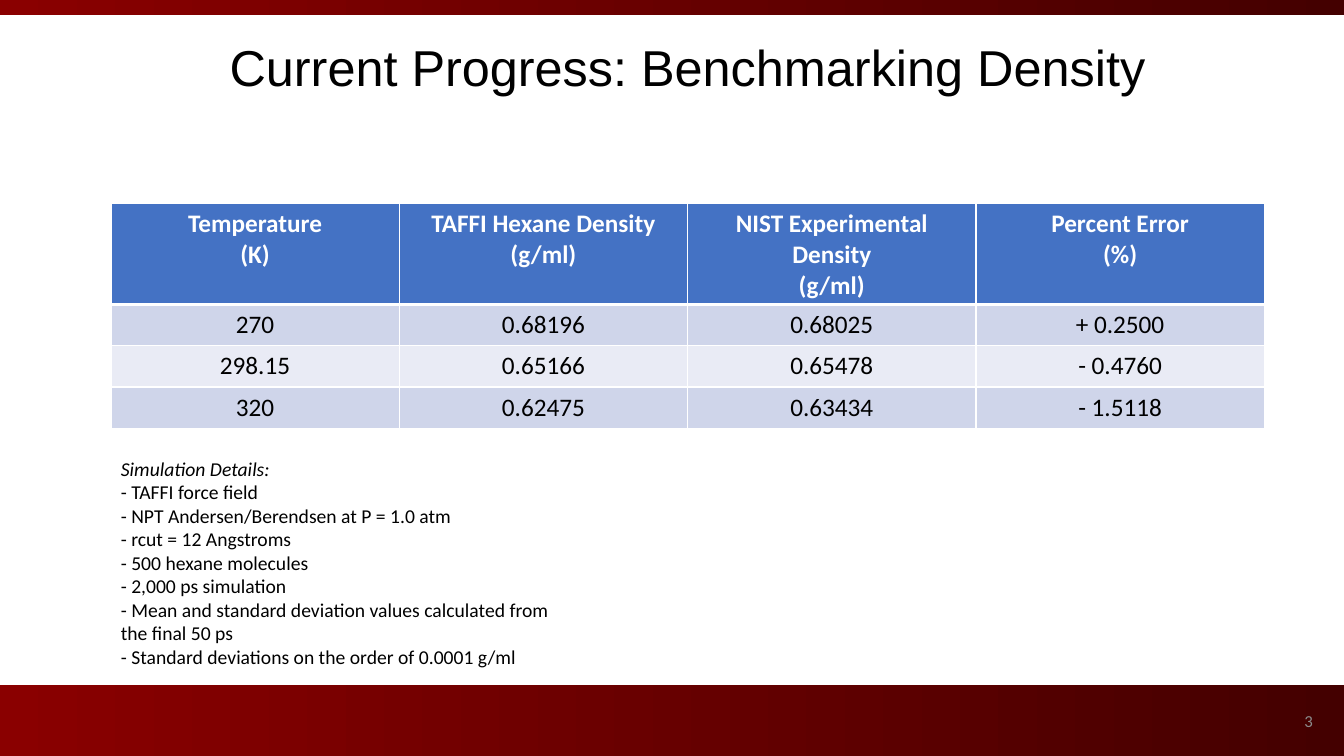
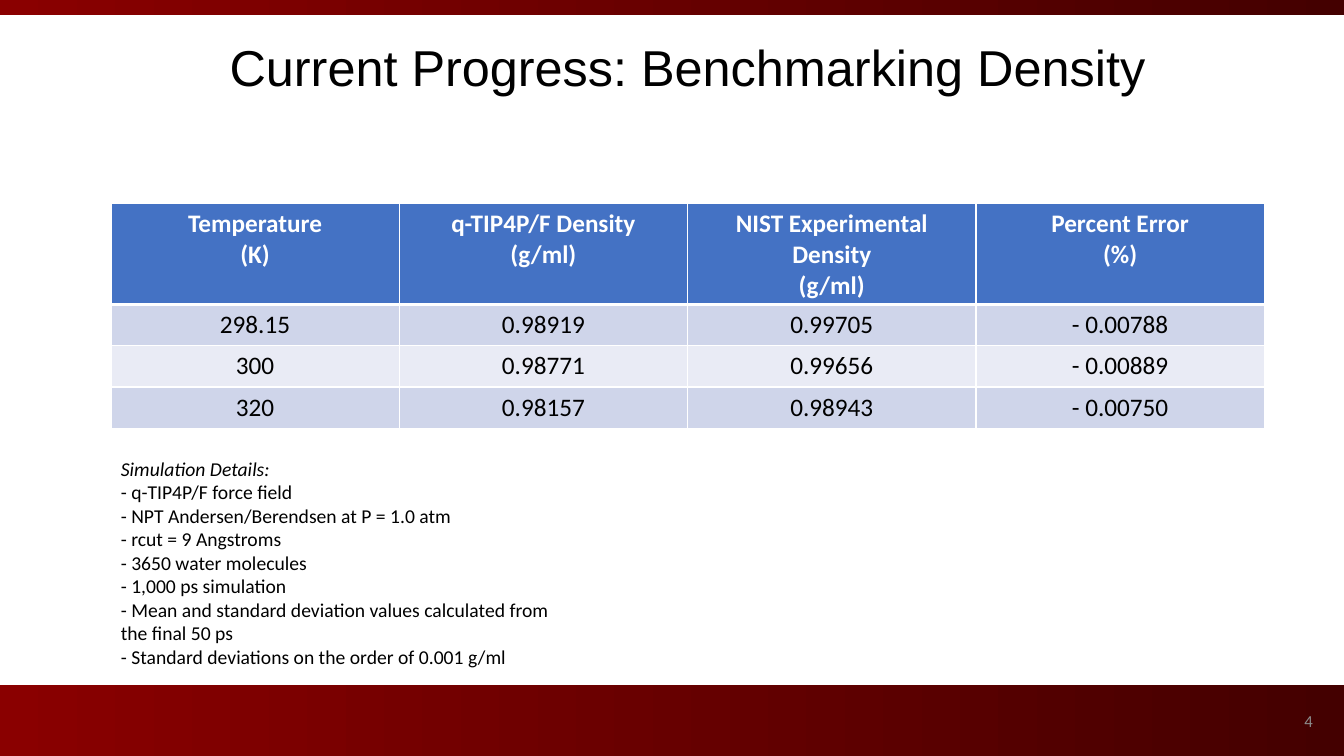
import pptx
import pptx.dml.color
import pptx.enum.shapes
import pptx.enum.text
import pptx.oxml
import pptx.oxml.ns
import pptx.util

Inches = pptx.util.Inches
Pt = pptx.util.Pt
ALIGN = pptx.enum.text.PP_ALIGN
ANCHOR = pptx.enum.text.MSO_ANCHOR
AUTO_SIZE = pptx.enum.text.MSO_AUTO_SIZE


def rgb(value):
    return pptx.dml.color.RGBColor.from_string(value)


class Deck:
    WIDTH, HEIGHT = 13.33, 7.5
    HEADING, BODY = "Arial", "Calibri"
    DARK, LIGHT, MUTED = "000000", "FFFFFF", "8C8C8C"
    BAND = ("8A0000", "440000")
    HEADER = "4472C4"
    STRIPES = ("CFD5EA", "E9EBF5")
    MARGIN = 1.1

    def __init__(self):
        self.prs = pptx.Presentation()
        self.prs.slide_width = Inches(self.WIDTH)
        self.prs.slide_height = Inches(self.HEIGHT)
        self.s = None

    def slide(self, title, number):
        self.s = self.prs.slides.add_slide(self.prs.slide_layouts[6])
        self.band(6.8, 0.7)
        self.band(0, 0.15)
        self.text((10.12, 6.95, 3, 0.4), [str(number)], 12, color=self.MUTED,
                  align=ALIGN.RIGHT, anchor=ANCHOR.MIDDLE)
        self.text((1.43, 0.31, 10.78, 0.71), [title], 36, font=self.HEADING,
                  align=ALIGN.CENTER, grow=True)

    def band(self, top, height):
        sp = self.s.shapes.add_shape(
            pptx.enum.shapes.MSO_SHAPE.RECTANGLE,
            0, Inches(top), Inches(self.WIDTH), Inches(height))
        sp.shadow.inherit = False
        sp.line.fill.background()
        sp.fill.gradient()
        sp.fill.gradient_angle = 0
        for stop, color in zip(sp.fill.gradient_stops, self.BAND):
            stop.color.rgb = rgb(color)

    def paragraphs(self, tf, lines, size, font=BODY, color=DARK,
                   align=ALIGN.LEFT, bold=False, italic_first=False):
        for i, line in enumerate(lines):
            p = tf.add_paragraph() if i else tf.paragraphs[0]
            p.alignment = align
            r = p.add_run()
            r.text = line
            r.font.name = font
            r.font.size = Pt(size)
            r.font.bold = bold
            r.font.italic = italic_first and i == 0
            r.font.color.rgb = rgb(color)

    def text(self, box, lines, size, anchor=ANCHOR.TOP, grow=False, **style):
        sp = self.s.shapes.add_textbox(*map(Inches, box))
        tf = sp.text_frame
        tf.word_wrap = True
        tf.vertical_anchor = anchor
        tf.auto_size = AUTO_SIZE.SHAPE_TO_FIT_TEXT if grow else AUTO_SIZE.NONE
        self.paragraphs(tf, lines, size, **style)

    def borders(self, cell, **widths):
        tc_pr = cell._tc.get_or_add_tcPr()
        for i, side in enumerate("LRTB"):
            tc_pr.insert(i, pptx.oxml.parse_xml(
                f'<a:ln{side} {pptx.oxml.ns.nsdecls("a")} w="{Pt(widths.get(side, 1))}">'
                f'<a:solidFill><a:srgbClr val="{self.LIGHT}"/></a:solidFill></a:ln{side}>'))

    def table(self, header, rows):
        col_width, header_height, row_height = 2.86, 0.99, 0.41
        frame = self.s.shapes.add_table(
            len(rows) + 1, len(header), Inches(self.MARGIN), Inches(2.02),
            Inches(col_width * len(header)),
            Inches(header_height + row_height * len(rows)))
        table = frame.table
        table.horz_banding = False
        for col in table.columns:
            col.width = Inches(col_width)
        for i, values in enumerate([header] + rows):
            is_header = i == 0
            table.rows[i].height = Inches(header_height if is_header else row_height)
            fill = self.HEADER if is_header else self.STRIPES[(i - 1) % 2]
            color = self.LIGHT if is_header else self.DARK
            for cell, value in zip(table.rows[i].cells, values):
                self.paragraphs(cell.text_frame, value.split("\n"), 18, color=color,
                                align=ALIGN.CENTER, bold=is_header)
                cell.fill.solid()
                cell.fill.fore_color.rgb = rgb(fill)
                self.borders(cell, T=3 if i == 1 else 1, B=3 if is_header else 1)

    def details(self, lines):
        self.text((self.MARGIN, 4.48, 4.61, 2.22), ["Simulation Details:"] + lines,
                  14, italic_first=True, grow=True)


BENCHMARKS = [
    dict(model="TAFFI", column="TAFFI Hexane", rcut=12,
         molecules="500 hexane", duration="2,000", deviation="0.0001",
         rows=[["270", "0.68196", "0.68025", "+ 0.2500"],
               ["298.15", "0.65166", "0.65478", "- 0.4760"],
               ["320", "0.62475", "0.63434", "- 1.5118"]]),
    dict(model="q-TIP4P/F", column="q-TIP4P/F", rcut=9,
         molecules="3650 water", duration="1,000", deviation="0.001",
         rows=[["298.15", "0.98919", "0.99705", "- 0.00788"],
               ["300", "0.98771", "0.99656", "- 0.00889"],
               ["320", "0.98157", "0.98943", "- 0.00750"]]),
]


def main():
    deck = Deck()
    for number, b in enumerate(BENCHMARKS, start=3):
        deck.slide("Current Progress: Benchmarking Density", number)
        deck.table(["Temperature\n(K)", f"{b['column']} Density\n(g/ml)",
                    "NIST Experimental Density\n(g/ml)", "Percent Error\n(%)"],
                   b["rows"])
        deck.details([
            f"- {b['model']} force field",
            "- NPT Andersen/Berendsen at P = 1.0 atm",
            f"- rcut = {b['rcut']} Angstroms",
            f"- {b['molecules']} molecules",
            f"- {b['duration']} ps simulation",
            "- Mean and standard deviation values calculated from the final 50 ps",
            f"- Standard deviations on the order of {b['deviation']} g/ml",
        ])
    deck.prs.save("out.pptx")


if __name__ == "__main__":
    main()
